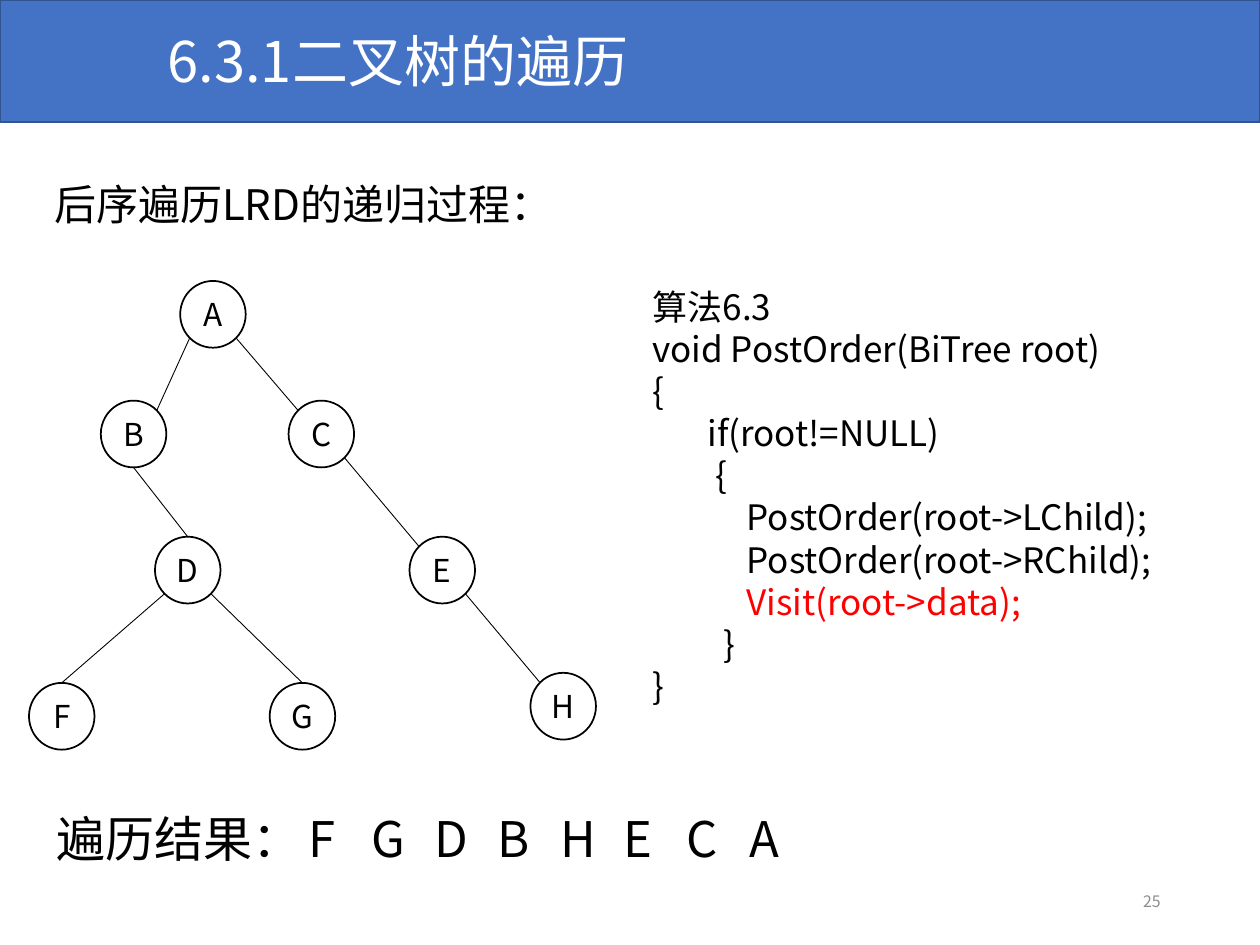
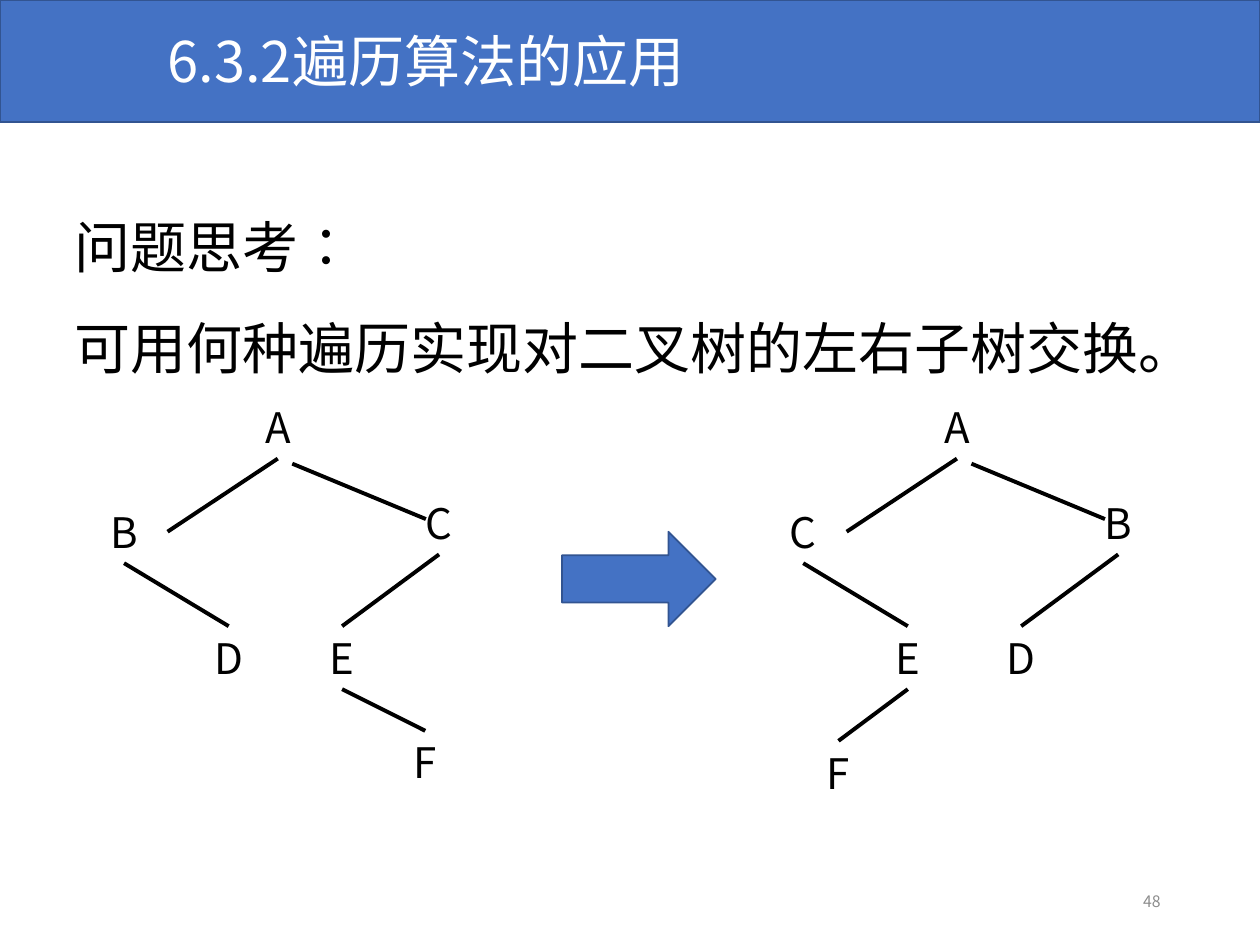
from lxml.etree import SubElement
from pptx import Presentation
from pptx.dml.color import RGBColor
from pptx.enum.shapes import MSO_CONNECTOR, MSO_SHAPE as SHAPE
from pptx.enum.text import MSO_ANCHOR as ANCHOR, MSO_AUTO_SIZE, PP_ALIGN as ALIGN
from pptx.oxml.ns import qn
from pptx.util import Inches, Pt

"""Builds two slides on traversing binary trees."""

FONT = "Noto Sans CJK SC"
COLORS = {"band": "4472C4", "edge": "325491", "ink": "000000",
          "paper": "FFFFFF", "number": "8C8C8C", "visit": "FF0000"}

TRAVERSAL = {"title": "6.3.1二叉树的遍历", "number": "25",
             "body": ["后序遍历LRD的递归过程："]}
CODE = [
    "算法6.3",
    "void PostOrder(BiTree root)",
    "{",
    "       if(root!=NULL)",
    "        {",
    "            PostOrder(root->LChild);",
    "            PostOrder(root->RChild);",
    "            Visit(root->data);",
    "         }",
    "}",
]
RESULT = ["遍历结果：", *"FGDBHECA"]
RESULT_STOPS = [2.09, 2.48, 2.92, 3.36, 3.8, 4.25, 4.58, 4.92]

NODE_W, NODE_H = 0.52, 0.53
NODES = {"A": (1.43, 2.23), "B": (0.8, 3.18), "C": (2.29, 3.18),
         "D": (1.23, 4.26), "E": (3.25, 4.26), "F": (0.23, 5.42),
         "G": (2.14, 5.42), "H": (4.21, 5.34)}
DIAGONAL = 0.71
SITES = {"top": (0, -1), "bottom": (0, 1),
         "top left": (-DIAGONAL, -DIAGONAL), "top right": (DIAGONAL, -DIAGONAL),
         "bottom left": (-DIAGONAL, DIAGONAL), "bottom right": (DIAGONAL, DIAGONAL)}
BRANCHES = [
    ("A", "bottom left", "B", "top right"),
    ("A", "bottom right", "C", "top left"),
    ("B", "bottom", "D", "top"),
    ("C", "bottom right", "E", "top left"),
    ("D", "bottom left", "F", "top"),
    ("D", "bottom right", "G", "top"),
    ("E", "bottom right", "H", "top left"),
]

SWAP = {"title": "6.3.2遍历算法的应用", "number": "48",
        "body": ["问题思考∶", "可用何种遍历实现对二叉树的左右子树交换。"]}
LABEL_W, LABEL_H = 0.69, 0.5
SLOTS = {"root": (1.86, 3.14), "left": (0.64, 3.97), "right": (3.14, 3.9),
         "left inner": (1.47, 4.97), "right inner": (2.37, 4.97)}
TREES = [
    {"x": 0, "letters": "ABCDE", "leaf": (3.03, 5.8), "parent": "right inner"},
    {"x": 5.39, "letters": "ACBED", "leaf": (0.92, 5.88), "parent": "left inner"},
]
TOP, RIGHT, BOTTOM = 0, 3, 2


def rgb(name):
    return RGBColor.from_string(COLORS[name])


def place(sp, x, y, w, h):
    sp.left, sp.top, sp.width, sp.height = map(Inches, (x, y, w, h))


def write(sp, lines, size=18, color="ink", align=ALIGN.LEFT, anchor=ANCHOR.TOP,
          spacing=1.0, wrap=True, stops=(), accents=None):
    tf = sp.text_frame
    tf.word_wrap, tf.auto_size, tf.vertical_anchor = wrap, MSO_AUTO_SIZE.NONE, anchor
    for i, line in enumerate(lines):
        p = tf.paragraphs[0] if i == 0 else tf.add_paragraph()
        p.alignment, p.line_spacing = align, spacing
        p.space_before = p.space_after = Pt(0)
        pPr = p._p.get_or_add_pPr()
        pPr.set("marL", "0")
        pPr.set("indent", "0")
        SubElement(pPr, qn("a:buNone"))
        if stops:
            tabs = SubElement(pPr, qn("a:tabLst"))
            for stop in stops:
                SubElement(tabs, qn("a:tab"), pos=str(Inches(stop)), algn="l")
        r = p.add_run()
        r.text = line
        r.font.size, r.font.name = Pt(size), FONT
        r.font.color.rgb = rgb((accents or {}).get(i, color))
        SubElement(r._r.get_or_add_rPr(), qn("a:ea"), typeface=FONT)


def add_text(s, box, lines, **fmt):
    sp = s.shapes.add_textbox(*map(Inches, box))
    write(sp, lines, **fmt)
    return sp


def add_shape(s, kind, box, fill="band", line="edge"):
    sp = s.shapes.add_shape(kind, *map(Inches, box))
    sp.shadow.inherit = False
    sp.fill.solid()
    sp.fill.fore_color.rgb = rgb(fill)
    sp.line.color.rgb, sp.line.width = rgb(line), Pt(1)
    return sp


def add_line(s, start=(0, 0), end=(0, 0), width=2.25):
    ln = s.shapes.add_connector(MSO_CONNECTOR.STRAIGHT, *map(Inches, (*start, *end)))
    ln.line.color.rgb, ln.line.width = rgb("ink"), Pt(width)
    SubElement(ln._element.spPr, qn("a:effectLst"))
    return ln


def join(s, parent, side, child, child_side):
    ln = add_line(s)
    ln.begin_connect(parent, side)
    ln.end_connect(child, child_side)


def add_slide(prs, content, body_box, body_size):
    s = prs.slides.add_slide(prs.slide_layouts[1])
    title, body = s.shapes.title, s.placeholders[1]
    band = add_shape(s, SHAPE.RECTANGLE, (0, 0, 10, 0.97))
    title.element.addprevious(band.element)
    place(title, 1.23, 0.16, 6.97, 0.64)
    write(title, [content["title"]], size=32, color="paper")
    place(body, *body_box)
    write(body, content["body"], size=body_size, spacing=1.5)
    add_text(s, (7.06, 6.95, 2.25, 0.4), [content["number"]], size=9,
             color="number", align=ALIGN.RIGHT, anchor=ANCHOR.MIDDLE)
    return s


def site(node, name):
    x, y = NODES[node]
    dx, dy = SITES[name]
    return x + NODE_W / 2 * (1 + dx), y + NODE_H / 2 * (1 + dy)


def add_circle_tree(s):
    for letter, (x, y) in NODES.items():
        sp = add_shape(s, SHAPE.OVAL, (x, y, NODE_W, NODE_H), "paper", "ink")
        tf = sp.text_frame
        tf.margin_left = tf.margin_right = tf.margin_top = tf.margin_bottom = 0
        write(sp, [letter], align=ALIGN.CENTER, anchor=ANCHOR.MIDDLE)
    for parent, out, child, into in BRANCHES:
        add_line(s, site(parent, out), site(child, into), width=0.5)


def add_letter_tree(s, tree):
    def label(letter, x, y):
        return add_text(s, (tree["x"] + x, y, LABEL_W, LABEL_H), [letter],
                        size=24, align=ALIGN.CENTER)

    labels = {slot: label(letter, *SLOTS[slot])
              for slot, letter in zip(SLOTS, tree["letters"])}
    leaf = label("F", *tree["leaf"])
    join(s, labels["root"], BOTTOM, labels["left"], RIGHT)
    add_line(s, (tree["x"] + 2.32, 3.68), (tree["x"] + 3.38, 4.12))
    for side in ("left", "right"):
        join(s, labels[side], BOTTOM, labels[side + " inner"], TOP)
    join(s, labels[tree["parent"]], BOTTOM, leaf, TOP)


def main():
    prs = Presentation()
    prs.slide_width, prs.slide_height = Inches(10), Inches(7.5)

    s = add_slide(prs, TRAVERSAL, (0.33, 1.17, 4.44, 0.64), 24)
    add_circle_tree(s)
    add_text(s, (5.08, 2.22, 4.71, 3.8), CODE, size=20, accents={7: "visit"})
    add_text(s, (0.35, 6.37, 5.46, 0.57), ["\t".join(RESULT)], size=28,
             wrap=False, stops=RESULT_STOPS)

    s = add_slide(prs, SWAP, (0.49, 1.37, 9.1, 1.63), 32)
    for tree in TREES:
        add_letter_tree(s, tree)
    add_shape(s, SHAPE.RIGHT_ARROW, (4.46, 4.22, 1.22, 0.75))

    prs.save("out.pptx")


if __name__ == "__main__":
    main()
